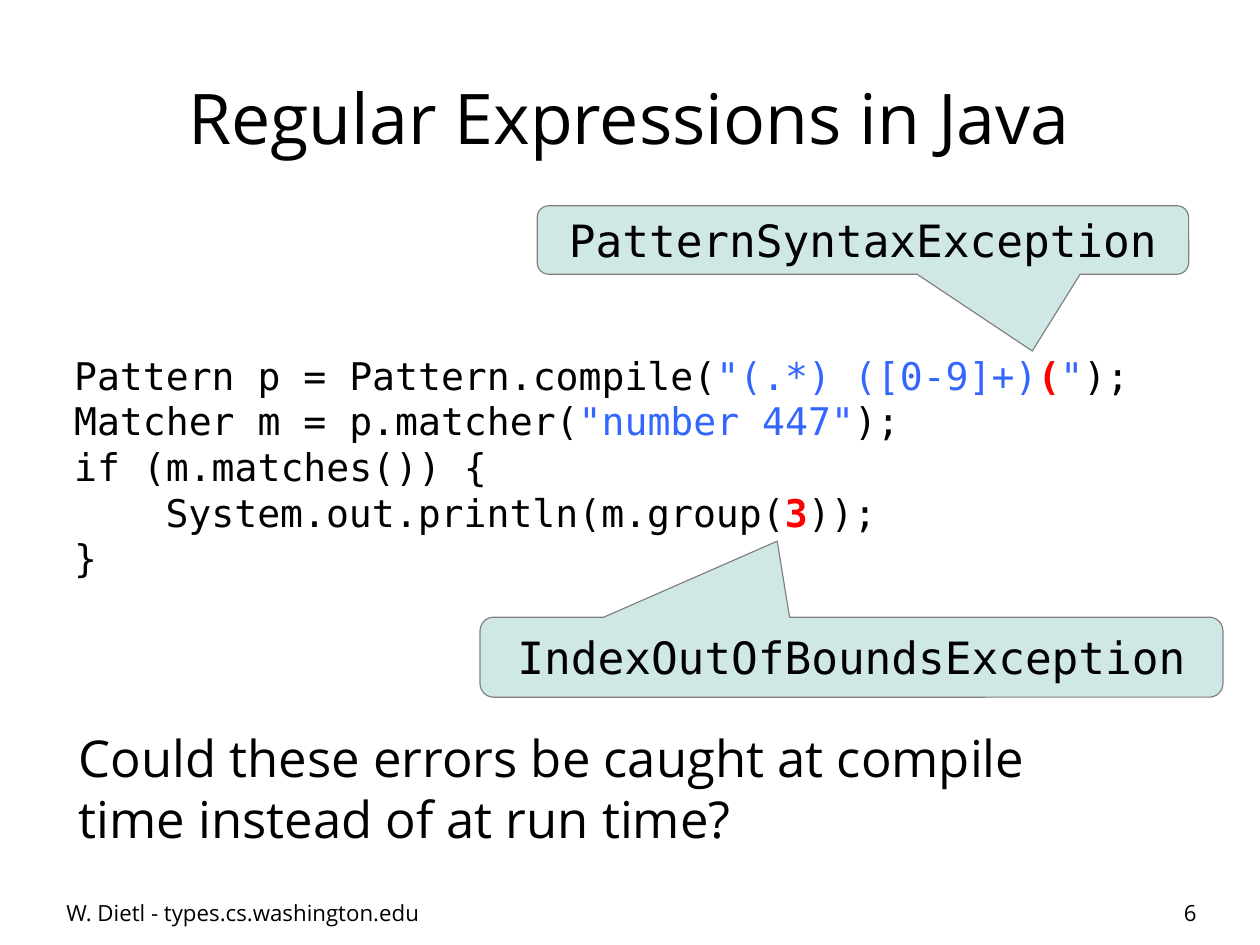
"""Build the slide on regular expressions in Java."""
import pptx
import pptx.util
import pptx.dml.color
import pptx.enum.shapes
import pptx.enum.text

Inches = pptx.util.Inches
Pt = pptx.util.Pt
ALIGN = pptx.enum.text.PP_ALIGN
ANCHOR = pptx.enum.text.MSO_ANCHOR
CM_PER_INCH = 2.54


class SlideBuilder:
    """Hold the style and the current slide."""

    SANS = "Open Sans"
    MONO = "DejaVu Sans Mono"
    COLORS = {"text": "000000", "string": "3366FF", "error": "FF0000",
              "callout": "CFE7E5", "outline": "808080"}

    def __init__(self, presentation):
        """Add a blank slide."""
        self.slide = presentation.slides.add_slide(presentation.slide_layouts[6])

    def color(self, name):
        """Return a named color."""
        return pptx.dml.color.RGBColor.from_string(self.COLORS[name])

    def add_run(self, paragraph, text, font, size, color="text"):
        """Add one run, bold where it marks an error."""
        run = paragraph.add_run()
        run.text = text
        run.font.name = font
        run.font.size = Pt(size)
        run.font.bold = color == "error"
        run.font.color.rgb = self.color(color)

    def prepare_frame(self, shape, anchor, margins=(0.1, 0.05), wrap=True):
        """Set the layout of a text frame and return it."""
        frame = shape.text_frame
        frame.word_wrap = wrap
        frame.vertical_anchor = anchor
        frame.margin_left = frame.margin_right = Inches(margins[0])
        frame.margin_top = frame.margin_bottom = Inches(margins[1])
        return frame

    def add_text(self, text, box, size, align=ALIGN.LEFT, anchor=ANCHOR.TOP,
                 margins=(0.1, 0.05), line_height=None):
        """Add a text box with one paragraph."""
        shape = self.slide.shapes.add_textbox(*map(Inches, box))
        paragraph = self.prepare_frame(shape, anchor, margins).paragraphs[0]
        paragraph.alignment = align
        if line_height:
            paragraph.line_spacing = Pt(line_height)
        self.add_run(paragraph, text, self.SANS, size)

    def add_code(self, lines, box, size):
        """Add a code listing of (indent in inches, runs) lines."""
        shape = self.slide.shapes.add_textbox(*map(Inches, box))
        frame = self.prepare_frame(shape, ANCHOR.TOP)
        for index, (indent, runs) in enumerate(lines):
            paragraph = frame.add_paragraph() if index else frame.paragraphs[0]
            paragraph.line_spacing = Pt(size * 1.2)
            paragraph._p.get_or_add_pPr().set("marL", str(Inches(indent)))
            for text, color in runs:
                self.add_run(paragraph, text, self.MONO, size, color)

    def add_callout(self, text, box, pointer):
        """Add a rounded callout whose tip lies at the pointer."""
        shape = self.slide.shapes.add_shape(
            pptx.enum.shapes.MSO_SHAPE.ROUNDED_RECTANGULAR_CALLOUT,
            *map(Inches, box))
        for index, value in enumerate((*pointer, 0.17)):
            shape.adjustments[index] = value
        shape.shadow.inherit = False
        shape.fill.solid()
        shape.fill.fore_color.rgb = self.color("callout")
        shape.line.color.rgb = self.color("outline")
        shape.line.width = Pt(0)
        frame = self.prepare_frame(shape, ANCHOR.MIDDLE, wrap=False)
        paragraph = frame.paragraphs[0]
        paragraph.alignment = ALIGN.CENTER
        self.add_run(paragraph, text, self.MONO, 28)


CODE = [
    (0, [("Pattern p = Pattern.compile(", "text"), ('"(.*) ([0-9]+)', "string"),
         ("(", "error"), ('"', "string"), (");", "text")]),
    (0, [("Matcher m = p.matcher(", "text"), ('"number 447"', "string"),
         (");", "text")]),
    (0, [("if (m.matches()) {", "text")]),
    (0.8, [("System.out.println(m.group(", "text"), ("3", "error"),
           ("));", "text")]),
    (0, [("}", "text")]),
]

presentation = pptx.Presentation()
presentation.slide_width = Inches(28 / CM_PER_INCH)
presentation.slide_height = Inches(21 / CM_PER_INCH)

builder = SlideBuilder(presentation)
builder.add_text("Regular Expressions in Java", (0.55, 0.33, 9.92, 1.38), 44,
                 ALIGN.CENTER, ANCHOR.MIDDLE)
builder.add_code(CODE, (0.55, 3.03, 9.92, 2.57), 24)
builder.add_text(
    "Could these errors be caught at compile time instead of at run time?",
    (0.59, 6.31, 8.9, 1.31), 32, line_height=38.4)
builder.add_callout("PatternSyntaxException", (4.7, 1.8, 5.7, 0.6), (0.26, 1.62))
builder.add_callout("IndexOutOfBoundsException", (4.2, 5.4, 6.5, 0.7), (-0.1, -1.45))
for text, left, width, align in (
        ("W. Dietl - types.cs.washington.edu", 0.58, 3.49, ALIGN.LEFT),
        ("6", 7.9, 2.57, ALIGN.RIGHT)):
    builder.add_text(text, (left, 7.53, width, 0.57), 14, align,
                     ANCHOR.BOTTOM, (0, 0))

presentation.save("out.pptx")
